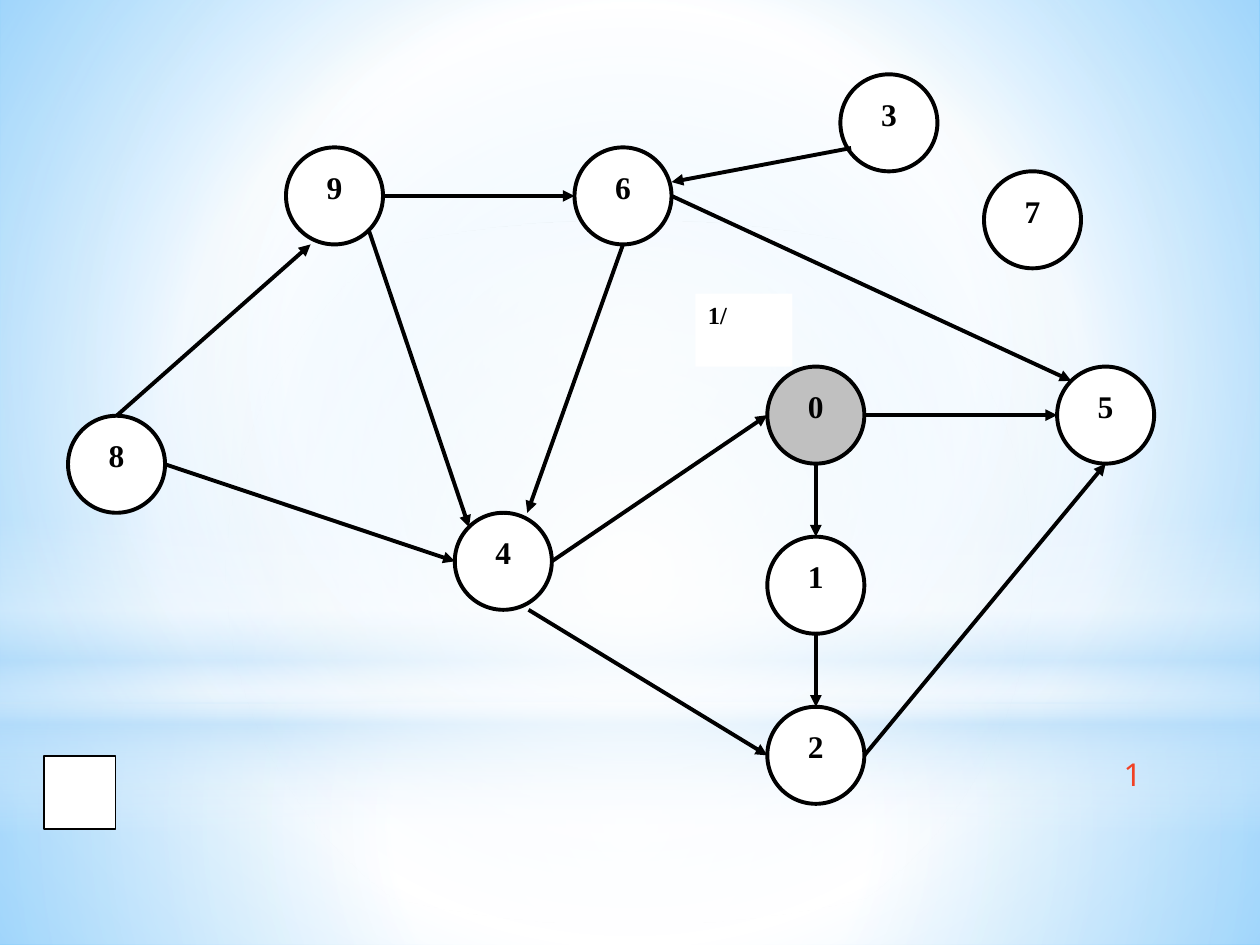
import lxml.etree
import pptx
import pptx.dml.color
import pptx.enum.shapes
import pptx.enum.text
import pptx.oxml.ns
import pptx.util

Inches = pptx.util.Inches
SHAPES = pptx.enum.shapes.MSO_SHAPE
ALIGN = pptx.enum.text.PP_ALIGN
qn = pptx.oxml.ns.qn

SIZE = 0.77
HALF = SIZE / 2
DIAGONAL = HALF * 0.707

# Left and top of each vertex, by its label
VERTICES = {
    "9": (2.27, 1.17), "8": (0.54, 3.3), "0": (6.09, 2.91), "4": (3.61, 4.07),
    "6": (4.56, 1.17), "5": (8.39, 2.91), "1": (6.09, 4.26), "2": (6.09, 5.61),
    "3": (6.67, 0.59), "7": (7.81, 1.36),
}
VISITING = {"0"}

# Offsets from a vertex centre to the point where an edge meets it
TOP, BOTTOM, LEFT, RIGHT = (0, -HALF), (0, HALF), (-HALF, 0), (HALF, 0)
UPPER_LEFT, LOWER_RIGHT = (-DIAGONAL, -DIAGONAL), (DIAGONAL, DIAGONAL)

EDGES = [
    ("9", RIGHT, "6", LEFT),
    ("8", TOP, "9", (-0.19, HALF)),
    ("6", BOTTOM, "4", (0.19, -HALF)),
    ("9", LOWER_RIGHT, "4", UPPER_LEFT),
    ("4", RIGHT, "0", LEFT),
    ("0", RIGHT, "5", LEFT),
    ("6", RIGHT, "5", UPPER_LEFT),
    ("0", BOTTOM, "1", TOP),
    ("1", BOTTOM, "2", TOP),
    ("2", RIGHT, "5", BOTTOM),
    ("4", (0.2, HALF), "2", LEFT),
    ("8", RIGHT, "4", LEFT),
    ("3", (-0.3, 0.2), "6", (HALF, -0.11)),
]

# Gradient stops: position, colour, opacity in percent
BACKDROP = [(0, "99D4FE", 100), (60, "FFFFFF", 100), (100, "54BDFF", 100)]
FLOOR = [(0, "FFFFFF", 91), (37, "FFFFFF", 76), (100, "B4DCFA", 79)]
WALL = [(0, "FFFFFF", 89), (48, "FFFFFF", 62), (100, "B4DCFA", 79)]
HORIZON = [(0, "FFFFFF", 0), (29, "FFFFFF", 30), (45, "B4DCFA", 40),
           (55, "FFFFFF", 26), (65, "B4DCFA", 60), (100, "FFFFFF", 0)]
GLOW = [(0, "FFFFFF", 100), (56, "FFFFFF", 0), (100, "FFFFFF", 0)]


def color(value):
    return pptx.dml.color.RGBColor.from_string(value)


def write(frame, text, font="Times New Roman", size=18, fill="000000", bold=True, align=ALIGN.LEFT):
    frame.vertical_anchor = pptx.enum.text.MSO_ANCHOR.TOP
    paragraph = frame.paragraphs[0]
    paragraph.alignment = align
    run = paragraph.add_run()
    run.text = text
    run.font.name = font
    run.font.size = pptx.util.Pt(size)
    run.font.bold = bold
    run.font.color.rgb = color(fill)


def apply_gradient(fill, owner, stops, radial=True):
    """Replace the solid fill inside owner by a radial or top-down gradient."""
    fill.solid()
    fill.fore_color.rgb = color("FFFFFF")
    solid = next(owner.iter(qn("a:solidFill")))
    gradient = lxml.etree.Element(qn("a:gradFill"), rotWithShape="1")
    stop_list = lxml.etree.SubElement(gradient, qn("a:gsLst"))
    for position, shade, opacity in stops:
        stop = lxml.etree.SubElement(stop_list, qn("a:gs"), pos=str(position * 1000))
        rgb = lxml.etree.SubElement(stop, qn("a:srgbClr"), val=shade)
        if opacity < 100:
            lxml.etree.SubElement(rgb, qn("a:alpha"), val=str(opacity * 1000))
    if radial:
        circle = lxml.etree.SubElement(gradient, qn("a:path"), path="circle")
        lxml.etree.SubElement(circle, qn("a:fillToRect"), l="50000", t="50000", r="50000", b="50000")
    else:
        lxml.etree.SubElement(gradient, qn("a:lin"), ang="5400000", scaled="0")
    solid.getparent().replace(solid, gradient)


class GraphSlide:
    ink = "000000"
    stroke = 2.25

    def __init__(self, slide):
        self.slide = slide

    def shape(self, kind, left, top, width, height, fill="FFFFFF", stroke=None):
        shape = self.slide.shapes.add_shape(
            kind, Inches(left), Inches(top), Inches(width), Inches(height))
        shape.shadow.inherit = False
        shape.fill.solid()
        shape.fill.fore_color.rgb = color(fill)
        if stroke:
            shape.line.color.rgb = color(self.ink)
            shape.line.width = pptx.util.Pt(stroke)
        else:
            shape.line.fill.background()
        return shape

    def backdrop(self, stops):
        apply_gradient(self.slide.background.fill, self.slide.element, stops)

    def light(self, kind, top, height, stops, radial=True):
        band = self.shape(kind, 0, top, 10, height)
        apply_gradient(band.fill, band.element, stops, radial)

    def vertex(self, label, left, top):
        fill = "C0C0C0" if label in VISITING else "FFFFFF"
        circle = self.shape(SHAPES.OVAL, left, top, SIZE, SIZE, fill, self.stroke)
        write(circle.text_frame, label, align=ALIGN.CENTER)

    def edge(self, source, source_offset, target, target_offset):
        ends = [Inches(corner + HALF + shift)
                for vertex, offset in ((source, source_offset), (target, target_offset))
                for corner, shift in zip(VERTICES[vertex], offset)]
        arrow = self.slide.shapes.add_connector(
            pptx.enum.shapes.MSO_CONNECTOR.STRAIGHT, *ends)
        arrow.line.color.rgb = color(self.ink)
        arrow.line.width = pptx.util.Pt(self.stroke)
        properties = arrow.element.spPr
        lxml.etree.SubElement(properties.find(qn("a:ln")), qn("a:tailEnd"), type="triangle")
        lxml.etree.SubElement(properties, qn("a:effectLst"))

    def page_number(self, text, left, top, width, height):
        box = self.slide.shapes.add_textbox(
            Inches(left), Inches(top), Inches(width), Inches(height))
        box.text_frame.word_wrap = True
        write(box.text_frame, text, font="Noto Sans", fill="F14124", bold=False)


def main():
    deck = pptx.Presentation()
    deck.slide_width, deck.slide_height = Inches(10), Inches(7.5)
    graph = GraphSlide(deck.slides.add_slide(deck.slide_layouts[6]))

    graph.backdrop(BACKDROP)
    graph.light(SHAPES.RECTANGLE, 5.58, 1.92, FLOOR)
    graph.light(SHAPES.RECTANGLE, 0, 5.58, WALL)
    graph.light(SHAPES.RECTANGLE, 4.12, 2.5, HORIZON, radial=False)
    graph.light(SHAPES.OVAL, 1.75, 5.58, GLOW)

    for label, corner in VERTICES.items():
        graph.vertex(label, *corner)
    for edge in EDGES:
        graph.edge(*edge)

    discovery_time = graph.shape(SHAPES.RECTANGLE, 5.52, 2.33, SIZE, 0.58)
    write(discovery_time.text_frame, "1/", size=14)
    graph.shape(SHAPES.RECTANGLE, 0.35, 6, 0.57, 0.58, stroke=0.75)
    graph.page_number("1", 8.82, 5.94, 0.34, 0.4)

    deck.save("out.pptx")


if __name__ == "__main__":
    main()
